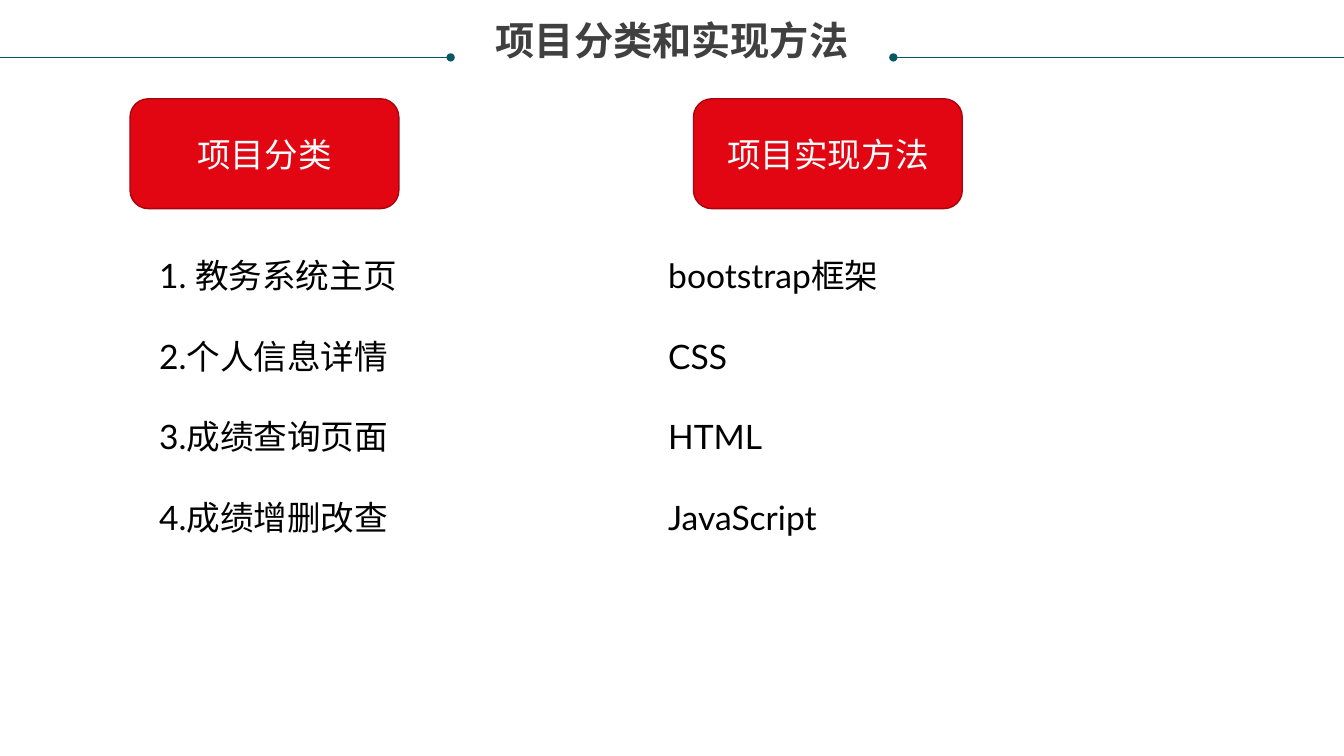
from dataclasses import dataclass

from lxml import etree
from pptx import Presentation
from pptx.dml.color import RGBColor
from pptx.enum.shapes import MSO_CONNECTOR, MSO_SHAPE
from pptx.enum.text import MSO_ANCHOR, MSO_AUTO_SIZE, PP_ALIGN
from pptx.oxml.ns import qn
from pptx.slide import Slide
from pptx.util import Inches, Pt

STRAIGHT = MSO_CONNECTOR.STRAIGHT
HEADING_SHAPE = MSO_SHAPE.FLOWCHART_ALTERNATE_PROCESS
CENTER = PP_ALIGN.CENTER
TOP, MIDDLE = MSO_ANCHOR.TOP, MSO_ANCHOR.MIDDLE

RED = RGBColor(0xE2, 0x06, 0x13)
DARK_RED = RGBColor(0xA7, 0x04, 0x0E)
TEAL = RGBColor(0x08, 0x57, 0x64)
GRAY = RGBColor(0x40, 0x40, 0x40)
WHITE = RGBColor(0xFF, 0xFF, 0xFF)
BLACK = RGBColor(0x00, 0x00, 0x00)

TITLE_FONT, BODY_FONT = "Noto Sans CJK SC", "Lato"
BODY_SIZE = Pt(24)
ITEM_GAP = Pt(28.8)

# The slide is a grid of 100 columns by 100 rows.
SLIDE_WIDTH, SLIDE_HEIGHT = Inches(13.33), Inches(7.5)
RULE_ROW = 7.6
HEADING_ROW, HEADING_COLS, HEADING_ROWS = 13.07, 20, 14.53
LIST_ROW, LIST_COLS, LIST_ROWS = 33.07, 33, 50.67


@dataclass(frozen=True)
class Topic:
    heading: str
    heading_col: float
    list_col: float
    items: tuple[str, ...]


@dataclass(frozen=True)
class TitleRule:
    dot_col: float
    edge_col: float


TOPICS = (
    Topic("项目分类", 9.68, 11.1,
          ("1. 教务系统主页", "2.个人信息详情", "3.成绩查询页面", "4.成绩增删改查")),
    Topic("项目实现方法", 51.6, 48.98,
          ("bootstrap框架", "CSS", "HTML", "JavaScript")),
)
TITLE_RULES = (TitleRule(66.47, 100), TitleRule(33.53, 0))


def cols(count: float) -> int:
    return round(SLIDE_WIDTH * count / 100)


def rows(count: float) -> int:
    return round(SLIDE_HEIGHT * count / 100)


def set_title(slide: Slide, text: str) -> None:
    title = slide.shapes.title
    title.left, title.top = cols(1.88), rows(2.8)
    title.width, title.height = cols(96.24), rows(5.6)
    frame = title.text_frame
    frame.text = text
    frame.margin_left = frame.margin_right = 0
    frame.margin_top = frame.margin_bottom = 0
    frame.vertical_anchor = TOP
    frame.word_wrap = True
    frame.auto_size = MSO_AUTO_SIZE.SHAPE_TO_FIT_TEXT
    paragraph = frame.paragraphs[0]
    paragraph.alignment = CENTER
    paragraph.line_spacing = 0.9
    font = paragraph.runs[0].font
    font.name, font.size, font.bold = TITLE_FONT, Pt(28), True
    font.color.rgb = GRAY
    east_asian = etree.SubElement(paragraph.runs[0]._r.rPr, qn("a:ea"))
    east_asian.set("typeface", TITLE_FONT)


def add_title_rule(slide: Slide, rule: TitleRule) -> None:
    """Draw a line from a round dot beside the title to the slide's edge."""
    connector = slide.shapes.add_connector(
        STRAIGHT, cols(rule.dot_col), rows(RULE_ROW),
        cols(rule.edge_col), rows(RULE_ROW))
    connector.line.color.rgb = TEAL
    connector.line.width = Pt(0.5)
    etree.SubElement(connector.line._ln, qn("a:headEnd")).set("type", "oval")
    etree.SubElement(connector._element.spPr, qn("a:effectLst"))


def add_heading(slide: Slide, topic: Topic) -> None:
    heading = slide.shapes.add_shape(
        HEADING_SHAPE, cols(topic.heading_col), rows(HEADING_ROW),
        cols(HEADING_COLS), rows(HEADING_ROWS))
    heading.shadow.inherit = False
    heading.fill.solid()
    heading.fill.fore_color.rgb = RED
    heading.line.color.rgb = DARK_RED
    heading.line.width = Pt(1)
    heading.text_frame.text = topic.heading
    heading.text_frame.vertical_anchor = MIDDLE
    paragraph = heading.text_frame.paragraphs[0]
    paragraph.alignment = CENTER
    paragraph.font.name, paragraph.font.size = BODY_FONT, BODY_SIZE
    paragraph.font.color.rgb = WHITE


def add_items(slide: Slide, topic: Topic) -> None:
    frame = slide.shapes.add_textbox(
        cols(topic.list_col), rows(LIST_ROW),
        cols(LIST_COLS), rows(LIST_ROWS)).text_frame
    frame.word_wrap = True
    frame.text = "\n".join(topic.items)
    for paragraph in frame.paragraphs:
        paragraph.space_after = ITEM_GAP
        paragraph.font.name, paragraph.font.size = BODY_FONT, BODY_SIZE
        paragraph.font.color.rgb = BLACK


def main() -> None:
    presentation = Presentation()
    presentation.slide_width = SLIDE_WIDTH
    presentation.slide_height = SLIDE_HEIGHT
    title_only = presentation.slide_layouts[5]
    slide = presentation.slides.add_slide(title_only)
    set_title(slide, "项目分类和实现方法")
    for rule in TITLE_RULES:
        add_title_rule(slide, rule)
    for topic in TOPICS:
        add_heading(slide, topic)
        add_items(slide, topic)
    presentation.save("out.pptx")


if __name__ == "__main__":
    main()
